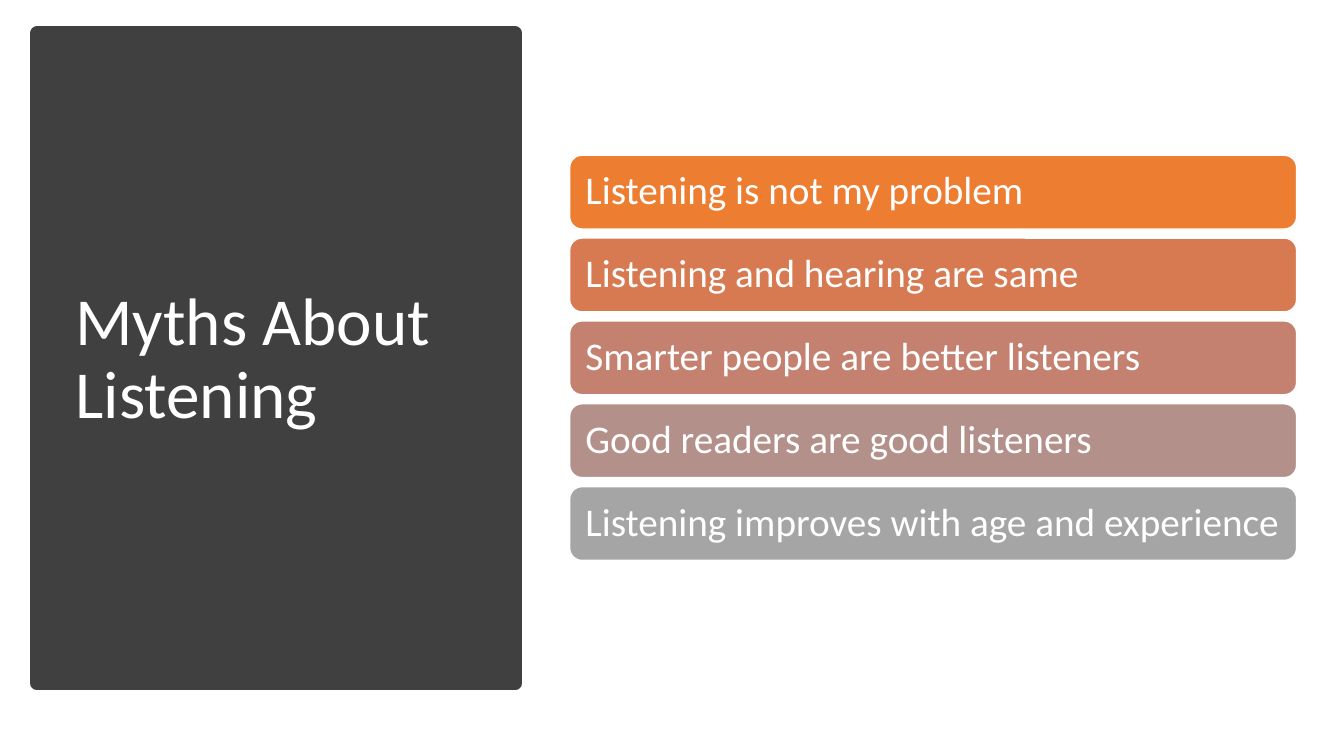
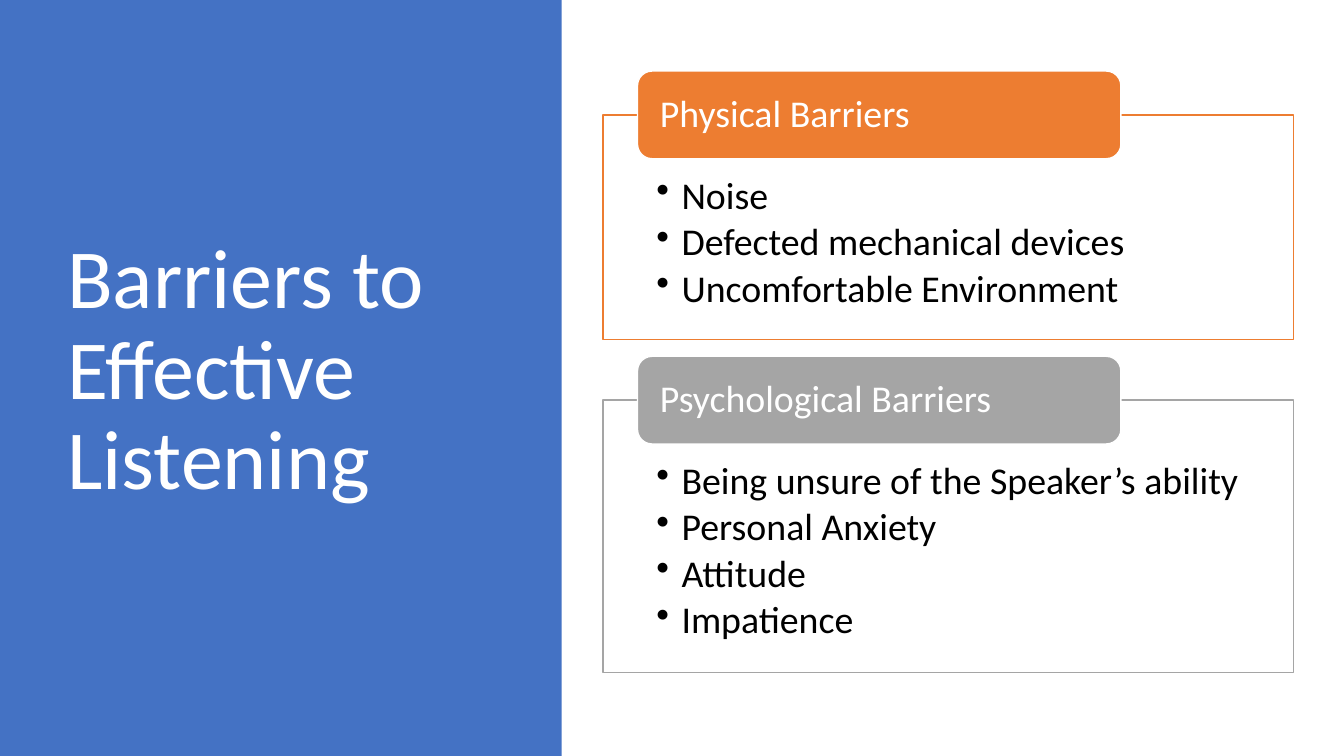
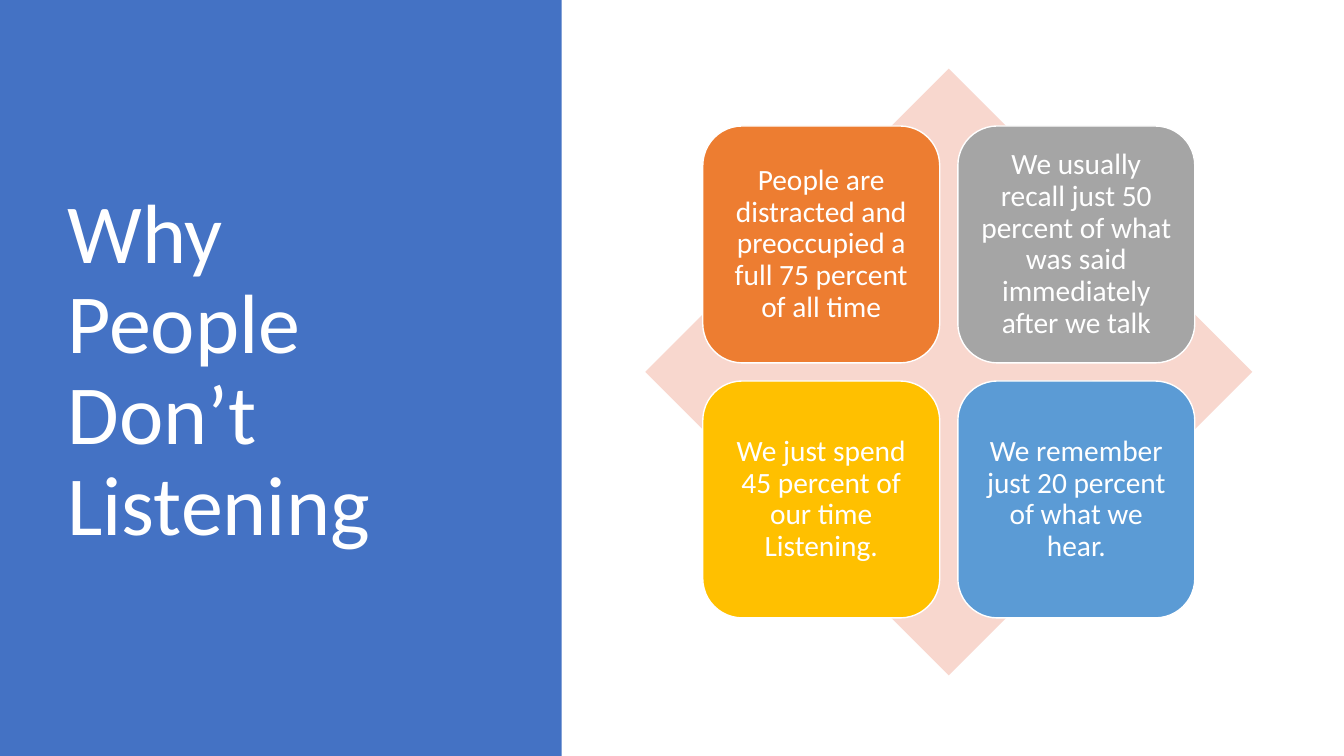
from pptx import Presentation
from pptx.dml.color import RGBColor
from pptx.enum.shapes import MSO_SHAPE
from pptx.enum.text import MSO_ANCHOR, PP_ALIGN
from pptx.oxml.xmlchemy import OxmlElement
from pptx.util import Inches, Pt

FONT = "Calibri"
WHITE = RGBColor(0xFF, 0xFF, 0xFF)
BLACK = RGBColor(0x00, 0x00, 0x00)
CHARCOAL = RGBColor(0x40, 0x40, 0x40)
BLUE = RGBColor(0x44, 0x72, 0xC4)
ORANGE = RGBColor(0xED, 0x7D, 0x31)
RUST = RGBColor(0xD8, 0x7A, 0x51)
ROSE = RGBColor(0xC4, 0x81, 0x70)
MAUVE = RGBColor(0xB4, 0x90, 0x8B)
GRAY = RGBColor(0xA5, 0xA5, 0xA5)
GOLD = RGBColor(0xFF, 0xC0, 0x00)
SKY = RGBColor(0x5B, 0x9B, 0xD5)
PEACH = RGBColor(0xF8, 0xD7, 0xCE)

MYTHS = [
    ("Listening is not my problem", ORANGE),
    ("Listening and hearing are same", RUST),
    ("Smarter people are better listeners", ROSE),
    ("Good readers are good listeners", MAUVE),
    ("Listening improves with age and experience", GRAY),
]
PHYSICAL = ["Noise", "Defected mechanical devices", "Uncomfortable Environment"]
PSYCHOLOGICAL = ["Being unsure of the Speaker’s ability", "Personal Anxiety",
                 "Attitude", "Impatience"]
REASONS = [
    ("People are distracted and preoccupied a full 75 percent of all time", ORANGE),
    ("We usually recall just 50 percent of what was said immediately after we talk", GRAY),
    ("We just spend 45 percent of our time Listening.", GOLD),
    ("We remember just 20 percent of what we hear.", SKY),
]


def add_box(s, kind, box, fill, line=None, weight=1):
    sp = s.shapes.add_shape(kind, *map(Inches, box))
    sp.shadow.inherit = False
    sp.fill.solid()
    sp.fill.fore_color.rgb = fill
    if line is None:
        sp.line.fill.background()
    else:
        sp.line.color.rgb = line
        sp.line.width = Pt(weight)
    return sp


def write(sp, lines, size, color=WHITE, insets=(0.1, 0.05, 0.1, 0.05),
          align=PP_ALIGN.LEFT, anchor=MSO_ANCHOR.MIDDLE, after=0):
    tf = sp.text_frame
    tf.word_wrap = True
    tf.vertical_anchor = anchor
    (tf.margin_left, tf.margin_top,
     tf.margin_right, tf.margin_bottom) = map(Inches, insets)
    tf.text = "\n".join(lines)
    for p in tf.paragraphs:
        p.alignment = align
        p.line_spacing = 0.9
        p.space_after = Pt(after)
        p.font.name = FONT
        p.font.size = Pt(size)
        p.font.color.rgb = color


def add_bullets(sp, indent):
    for p in sp.text_frame.paragraphs:
        pPr = p._p.get_or_add_pPr()
        pPr.set("marL", str(Inches(indent)))
        pPr.set("indent", str(-Inches(indent)))
        bullet = OxmlElement("a:buChar")
        bullet.set("char", "•")
        pPr.insert_element_before(bullet, "a:tabLst", "a:defRPr", "a:extLst")


def title_band(s, title, band, title_box, color, size, line=None):
    add_box(s, MSO_SHAPE.RECTANGLE, band, color, line, 10)
    write(s.shapes.add_textbox(*map(Inches, title_box)), [title], size)


def blue_title(s, title):
    title_band(s, title, (0, 0, 5.57, 7.5), (0.57, 0.68, 4.16, 6.02), BLUE, 60)


def bar_list(s, box, items, gap):
    x, y, w, h = box
    bar_h = (h - gap * (len(items) - 1)) / len(items)
    for i, (text, color) in enumerate(items):
        bar = add_box(s, MSO_SHAPE.ROUNDED_RECTANGLE,
                      (x, y + i * (bar_h + gap), w, bar_h), color, WHITE)
        write(bar, [text], 28, insets=(0.12,) * 4)


def barrier_panel(s, box, heading, items, color):
    x, y, w, h = box
    tab_h = 0.87
    panel = add_box(s, MSO_SHAPE.RECTANGLE, box, WHITE, color)
    write(panel, items, 27, BLACK, (0.53, 0.61, 0.53, 0.21),
          anchor=MSO_ANCHOR.TOP, after=4)
    add_bullets(panel, 0.25)
    tab = add_box(s, MSO_SHAPE.ROUNDED_RECTANGLE,
                  (x + 0.05 * w, y - tab_h / 2, 0.7 * w, tab_h), color, WHITE)
    write(tab, [heading], 27, insets=(0.18, 0, 0.18, 0))


def diamond_matrix(s, box, items):
    x, y, side, _ = box
    add_box(s, MSO_SHAPE.DIAMOND, box, PEACH)
    tile, margin = 2.35, 0.57
    step = side - 2 * margin - tile
    for i, (text, color) in enumerate(items):
        row, col = divmod(i, 2)
        sp = add_box(s, MSO_SHAPE.ROUNDED_RECTANGLE,
                     (x + margin + col * step, y + margin + row * step, tile, tile),
                     color, WHITE)
        write(sp, [text], 21, insets=(0.09,) * 4, align=PP_ALIGN.CENTER)


def myths_slide(s):
    title_band(s, "Myths About Listening", (0.37, 0.33, 4.74, 6.45),
               (0.65, 0.7, 4.16, 5.75), CHARCOAL, 48, CHARCOAL)
    bar_list(s, (5.65, 1.54, 7.21, 4.02), MYTHS, 0.09)


def barriers_slide(s):
    blue_title(s, "Barriers to Effective Listening")
    barrier_panel(s, (5.98, 1.14, 6.85, 2.23), "Physical Barriers", PHYSICAL, ORANGE)
    barrier_panel(s, (5.98, 3.97, 6.85, 2.7), "Psychological Barriers",
                  PSYCHOLOGICAL, GRAY)


def reasons_slide(s):
    blue_title(s, "Why People Don’t Listening")
    diamond_matrix(s, (6.4, 0.68, 6.02, 6.02), REASONS)


def main():
    prs = Presentation()
    prs.slide_width, prs.slide_height = Inches(13.33), Inches(7.5)
    for build in (myths_slide, barriers_slide, reasons_slide):
        build(prs.slides.add_slide(prs.slide_layouts[6]))
    prs.save("out.pptx")


if __name__ == "__main__":
    main()
